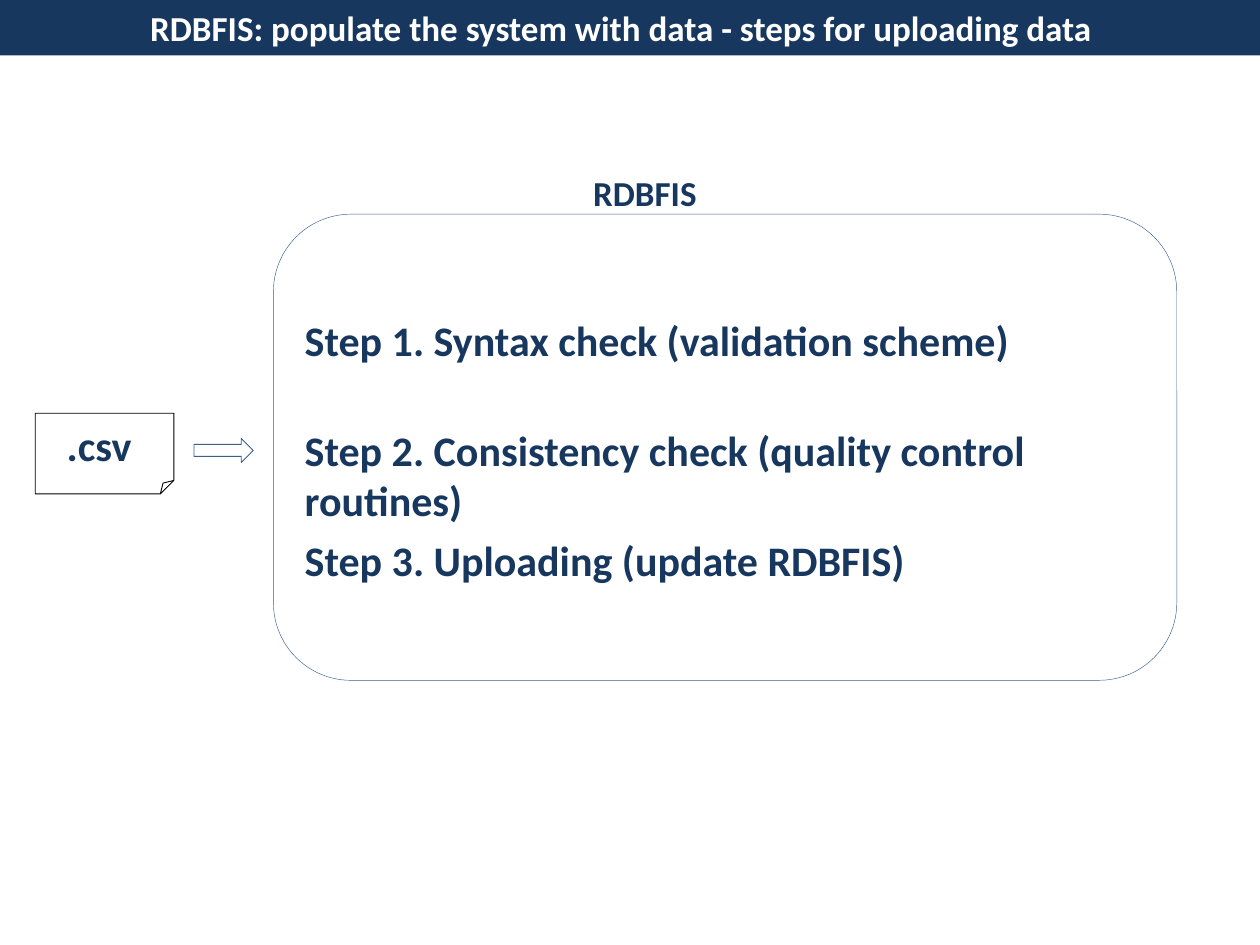
from pptx import Presentation
from pptx.dml.color import RGBColor
from pptx.enum.shapes import MSO_SHAPE
from pptx.enum.text import MSO_ANCHOR, MSO_AUTO_SIZE, PP_ALIGN
from pptx.util import Inches, Pt

FOLDED = MSO_SHAPE.FOLDED_CORNER
ARROW = MSO_SHAPE.RIGHT_ARROW
ROUNDED = MSO_SHAPE.ROUNDED_RECTANGLE
MIDDLE = MSO_ANCHOR.MIDDLE
NO_FIT = MSO_AUTO_SIZE.NONE
CENTER = PP_ALIGN.CENTER

NAVY, BLUE, BLACK, WHITE = "17375E", "3A5F8C", "000000", "FFFFFF"
STEPS = [
    "Step 1. Syntax check (validation scheme)",
    "Step 2. Consistency check (quality control routines)",
    "Step 3. Uploading (update RDBFIS)",
]


def rgb(color):
    return RGBColor.from_string(color)


def set_text(tf, text, size, color=NAVY):
    tf.word_wrap = True
    tf.auto_size = NO_FIT
    tf.text = text
    font = tf.paragraphs[0].runs[0].font
    font.name, font.size, font.bold = "Calibri", Pt(size), True
    font.color.rgb = rgb(color)


def add_label(slide, text, x, y, w, h, size):
    box = slide.shapes.add_textbox(Inches(x), Inches(y), Inches(w), Inches(h))
    set_text(box.text_frame, text, size)


def add_outline(slide, kind, x, y, w, h, color, weight):
    sp = slide.shapes.add_shape(kind, Inches(x), Inches(y), Inches(w), Inches(h))
    sp.shadow.inherit = False
    sp.fill.background()
    sp.line.color.rgb = rgb(color)
    sp.line.width = Pt(weight)


def title_bar(slide, x, y, w, h):
    title = slide.shapes.title
    title.left, title.top = Inches(x), Inches(y)
    title.width, title.height = Inches(w), Inches(h)
    title.fill.solid()
    title.fill.fore_color.rgb = rgb(NAVY)
    tf = title.text_frame
    set_text(tf, "RDBFIS: populate the system with data - steps for uploading data",
             20, WHITE)
    tf.vertical_anchor = MIDDLE
    tf.margin_right = Inches(0.24)
    tf.paragraphs[0].alignment = CENTER


def csv_file(slide, x, y, w, h):
    add_label(slide, ".csv", x + 0.15, y, 0.79, 0.5, 24)
    add_outline(slide, FOLDED, x, y, w, h, BLACK, 0.5)


def rdbfis_panel(slide, x, y, w, h):
    add_outline(slide, ROUNDED, x, y, w, h, BLUE, 0.25)
    add_label(slide, "RDBFIS", x + 2.44, y - 0.39, 1.1, 0.44, 20)
    for i, step in enumerate(STEPS):
        add_label(slide, step, x + 0.15, y + 0.75 + i * 0.87, w - 0.16, 0.5, 24)


def main():
    prs = Presentation()
    prs.slide_width, prs.slide_height = Inches(10), Inches(7.5)
    slide = prs.slides.add_slide(prs.slide_layouts[5])
    title_bar(slide, 0, 0, 10, 0.44)
    csv_file(slide, 0.28, 3.28, 1.1, 0.64)
    add_outline(slide, ARROW, 1.54, 3.48, 0.47, 0.19, BLUE, 0.5)
    rdbfis_panel(slide, 2.17, 1.7, 7.17, 3.7)
    prs.save("out.pptx")


if __name__ == "__main__":
    main()
